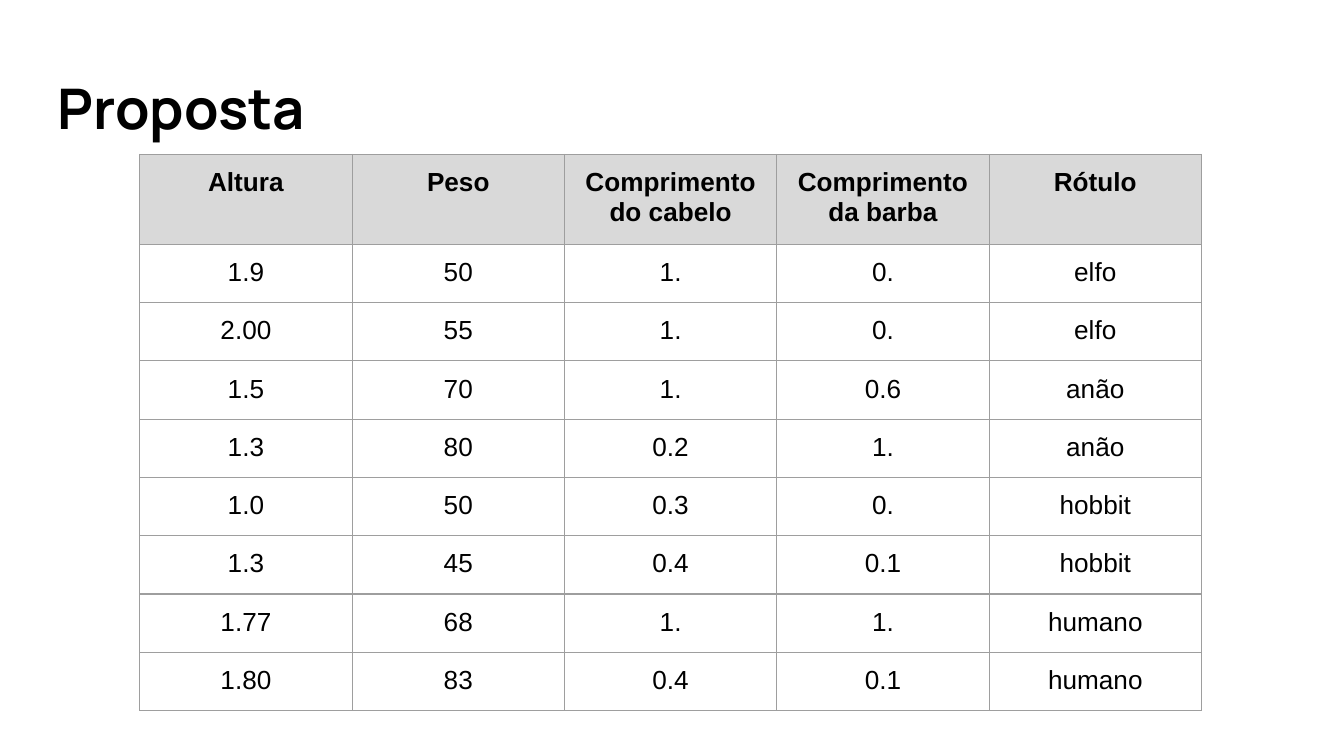
from lxml.etree import SubElement
from pptx import Presentation
from pptx.dml.color import RGBColor
from pptx.enum.text import MSO_ANCHOR, PP_ALIGN
from pptx.oxml.ns import qn
from pptx.util import Inches, Pt

HEADERS = ["Altura", "Peso", "Comprimento do cabelo", "Comprimento da barba", "Rótulo"]
SAMPLES = [
    ["1.9", "50", "1.", "0.", "elfo"],
    ["2.00", "55", "1.", "0.", "elfo"],
    ["1.5", "70", "1.", "0.6", "anão"],
    ["1.3", "80", "0.2", "1.", "anão"],
    ["1.0", "50", "0.3", "0.", "hobbit"],
    ["1.3", "45", "0.4", "0.1", "hobbit"],
    ["1.77", "68", "1.", "1.", "humano"],
    ["1.80", "83", "0.4", "0.1", "humano"],
]


def color(value):
    """Turn a hex string into a colour."""
    return RGBColor.from_string(value)


class SlideBuilder:
    """Hold the style and the current slide."""

    title_font = "Manrope"
    body_font = "Arial"
    text_color = "000000"
    header_fill = "D9D9D9"
    border_color = "9E9E9E"
    border_width = Pt(0.75)
    inset = Inches(0.1)

    def __init__(self, slide):
        """Start on the given slide."""
        self.slide = slide

    def format_text(self, paragraph, font, size, bold):
        """Style every run of a paragraph."""
        for run in paragraph.runs:
            run.font.name = font
            run.font.size = Pt(size)
            run.font.bold = bold
            run.font.color.rgb = color(self.text_color)

    def set_margins(self, target):
        """Give a text frame or a cell the common inset."""
        target.margin_left = target.margin_right = self.inset
        target.margin_top = target.margin_bottom = self.inset

    def add_title(self, text, left, top, width, height):
        """Add the slide title."""
        shape = self.slide.shapes.add_textbox(
            Inches(left), Inches(top), Inches(width), Inches(height))
        text_frame = shape.text_frame
        text_frame.word_wrap = True
        text_frame.vertical_anchor = MSO_ANCHOR.MIDDLE
        self.set_margins(text_frame)
        text_frame.text = text
        self.format_text(text_frame.paragraphs[0], self.title_font, 30, True)

    def add_borders(self, cell):
        """Draw the four borders of a cell."""
        properties = cell._tc.get_or_add_tcPr()
        for side in ("a:lnL", "a:lnR", "a:lnT", "a:lnB"):
            line = SubElement(properties, qn(side), w=str(self.border_width))
            fill = SubElement(line, qn("a:solidFill"))
            SubElement(fill, qn("a:srgbClr"), val=self.border_color)

    def fill_cell(self, cell, text, is_header):
        """Write and style one table cell."""
        self.set_margins(cell)
        self.add_borders(cell)
        if is_header:
            cell.fill.solid()
            cell.fill.fore_color.rgb = color(self.header_fill)
        else:
            cell.fill.background()
        cell.text_frame.text = text
        paragraph = cell.text_frame.paragraphs[0]
        paragraph.alignment = PP_ALIGN.CENTER
        self.format_text(paragraph, self.body_font, 14, is_header)

    def add_table(self, rows, left, top, frame_size, column_width, row_height):
        """Add a table whose first row is the header."""
        shape = self.slide.shapes.add_table(
            len(rows), len(rows[0]), Inches(left), Inches(top),
            Inches(frame_size), Inches(frame_size))
        table = shape.table
        table.horz_banding = False
        for column in table.columns:
            column.width = Inches(column_width)
        for row_index, values in enumerate(rows):
            table.rows[row_index].height = Inches(row_height)
            for column_index, text in enumerate(values):
                self.fill_cell(table.cell(row_index, column_index), text, row_index == 0)
        shape.width = shape.height = Inches(frame_size)


def main():
    """Build and save the presentation."""
    presentation = Presentation()
    presentation.slide_width = Inches(10)
    presentation.slide_height = presentation.slide_width * 9 // 16
    builder = SlideBuilder(presentation.slides.add_slide(presentation.slide_layouts[6]))
    builder.add_title("Proposta", 0.33, 0.45, 9.32, 0.7)
    builder.add_table([HEADERS] + SAMPLES, 1.04, 1.15, 3.28, 1.58, 0.42)
    presentation.save("out.pptx")


if __name__ == "__main__":
    main()
